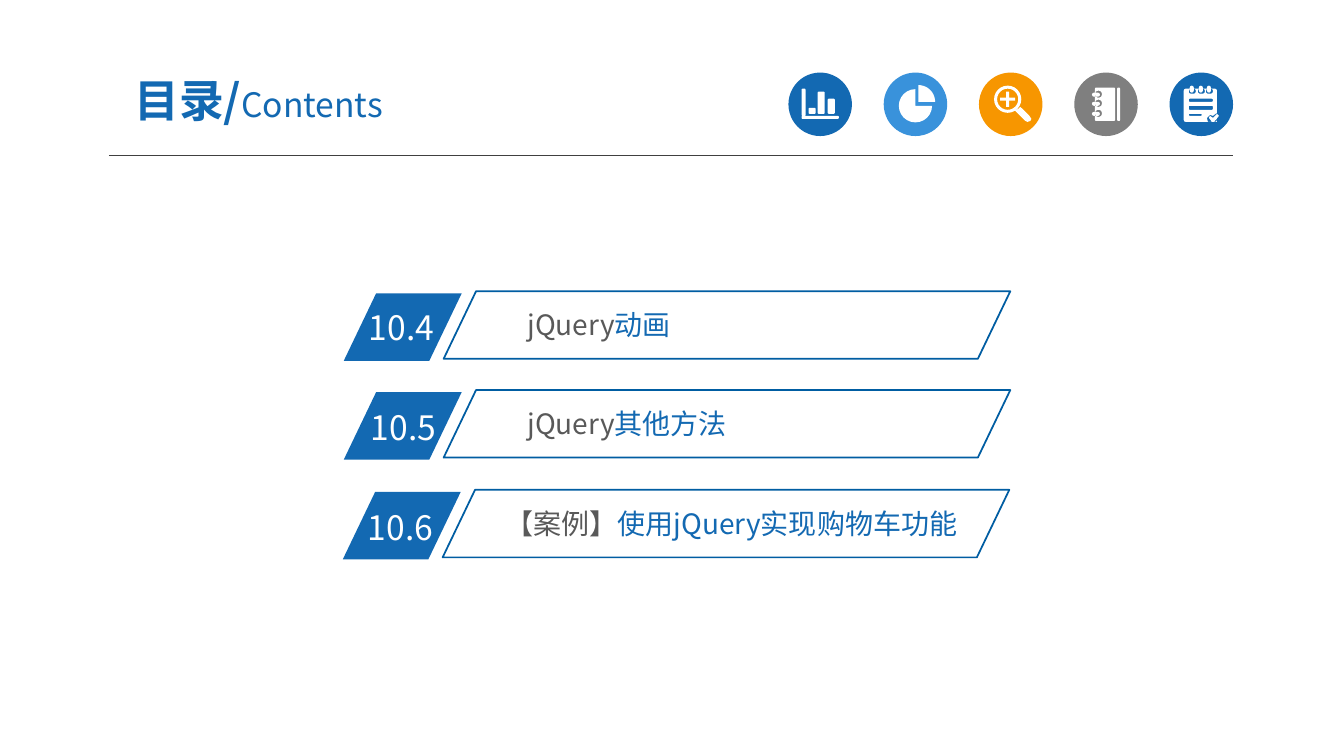
from math import cos, radians, sin

from lxml import etree
from pptx import Presentation
from pptx.dml.color import RGBColor
from pptx.enum import shapes, text
from pptx.oxml import ns
from pptx.util import Inches, Pt

BLUE = RGBColor(0x13, 0x69, 0xB2)
SKY = RGBColor(0x39, 0x92, 0xDB)
ORANGE = RGBColor(0xF7, 0x96, 0x00)
GRAY = RGBColor(0x7F, 0x7F, 0x7F)
DARK = RGBColor(0x59, 0x59, 0x59)
EDGE = RGBColor(0x00, 0x5D, 0xA2)
RULE = RGBColor(0x40, 0x40, 0x40)
WHITE = RGBColor(0xFF, 0xFF, 0xFF)
FONT = "Noto Sans CJK SC"
SLANT = shapes.MSO_SHAPE.PARALLELOGRAM

deck = Presentation()
deck.slide_width, deck.slide_height = Inches(13.33), Inches(7.5)
slide = deck.slides.add_slide(deck.slide_layouts[5])


def write(box, runs, align=text.PP_ALIGN.LEFT, inset=(0.1, 0.05)):
    """Fill a box with one paragraph of (words, size, colour, bold) runs."""
    frame = box.text_frame
    frame.word_wrap = True
    frame.auto_size = text.MSO_AUTO_SIZE.NONE
    frame.margin_left = frame.margin_right = Inches(inset[0])
    frame.margin_top = frame.margin_bottom = Inches(inset[1])
    para = frame.paragraphs[0]
    para.alignment = align
    for words, size, color, bold in runs:
        run = para.add_run()
        run.text = words
        font = run.font
        font.size, font.bold, font.name = Pt(size), bold, FONT
        font.color.rgb = color
        east = etree.SubElement(run._r.get_or_add_rPr(), ns.qn("a:ea"))
        east.set("typeface", FONT)


def paint(shape, fill=None, edge=None):
    shape.shadow.inherit = False
    if fill is None:
        shape.fill.background()
    else:
        shape.fill.solid()
        shape.fill.fore_color.rgb = fill
    if edge is None:
        shape.line.fill.background()
    else:
        shape.line.color.rgb = edge
        shape.line.width = Pt(1.25)


# Heading
title = slide.shapes.title
title.left, title.top = Inches(0.92), Inches(0.63)
title.width, title.height = Inches(3.29), Inches(0.72)
title.text_frame.vertical_anchor = text.MSO_ANCHOR.MIDDLE
write(title, [("目录/", 32, BLUE, True), ("Contents", 24, BLUE, False)],
      align=text.PP_ALIGN.CENTER, inset=(0.13, 0.07))

rule = slide.shapes.add_connector(shapes.MSO_CONNECTOR.STRAIGHT,
                                  Inches(1.08), Inches(1.54), Inches(12.23), Inches(1.54))
rule.line.color.rgb = RULE
rule.line.width = Pt(0.75)
etree.SubElement(rule._element.spPr, ns.qn("a:effectLst"))

# Icon outlines: a tuple is a rounded box (left, top, width, height, radius),
# a list is a polygon; an outline inside another one cuts a hole.
bars = [(7.95, 0.88, 0.04, 0.27, 0.01), (7.95, 1.15, 0.37, 0.03, 0.01)]
for x, top in [(8.02, 1.07), (8.11, 0.91), (8.21, 0.98)]:
    bars.append((x, top, 0.07, 1.13 - top, 0.01))

pie = []
for x, y, start, sweep in [(9.08, 1.05, 0, 270), (9.11, 1.01, 270, 90)]:
    turns = [radians(start + sweep * i / 18) for i in range(19)]
    pie.append([(x, y)] + [(x + 0.165 * cos(t), y + 0.165 * sin(t)) for t in turns])

lens = [
    (9.86, 0.85, 0.27, 0.27, 0.135),
    (9.89, 0.88, 0.21, 0.21, 0.105),
    [(9.98, 0.91), (10.01, 0.91), (10.01, 0.97), (10.07, 0.97), (10.07, 1.0), (10.01, 1.0),
     (10.01, 1.06), (9.98, 1.06), (9.98, 1.0), (9.92, 1.0), (9.92, 0.97), (9.98, 0.97)],
    [(10.07, 1.1), (10.1, 1.08), (10.12, 1.06), (10.21, 1.15), (10.23, 1.18),
     (10.22, 1.2), (10.19, 1.21), (10.17, 1.2)],
]

book = [(10.86, 0.87, 0.2, 0.33, 0.01), (11.08, 0.87, 0.03, 0.33, 0.01)]
for y in (0.92, 1.01, 1.11):
    book += [(10.86, y - 0.02, 0.07, 0.07, 0.03), (10.83, y, 0.08, 0.04, 0.02)]

pad = [(11.74, 0.88, 0.33, 0.33, 0.02)]
for x in (11.8, 11.89, 11.97):
    pad += [(x - 0.01, 0.88, 0.07, 0.05, 0.02), (x, 0.85, 0.04, 0.07, 0.02)]
for y, w, h in [(0.98, 0.24, 0.03), (1.05, 0.24, 0.04), (1.13, 0.13, 0.02)]:
    pad.append((11.79, y, w, h, 0.01))
pad += [
    [(11.98, 1.21), (11.97, 1.17), (12.0, 1.14), (12.03, 1.15), (12.07, 1.12), (12.07, 1.21)],
    [(12.0, 1.15), (12.03, 1.17), (12.07, 1.13), (12.09, 1.15), (12.04, 1.21),
     (12.02, 1.21), (11.99, 1.17)],
]

icons = [(BLUE, bars), (SKY, pie), (ORANGE, lens), (GRAY, book), (BLUE, pad)]
for i, (color, parts) in enumerate(icons):
    disc = slide.shapes.add_shape(shapes.MSO_SHAPE.OVAL, Inches(7.82 + 0.945 * i), Inches(0.72),
                                  Inches(0.63), Inches(0.63))
    paint(disc, color)
    pen = None
    for part in parts:
        if isinstance(part, tuple):
            x, y, w, h, r = part
            steps = 6 if r > 0.1 else 2
            hubs = [(x + w - r, y + h - r), (x + r, y + h - r), (x + r, y + r), (x + w - r, y + r)]
            part = []
            for k, (cx, cy) in enumerate(hubs):
                turns = [radians(90 * (k + n / steps)) for n in range(steps + 1)]
                part += [(cx + r * cos(t), cy + r * sin(t)) for t in turns]
        dots = [(Inches(x), Inches(y)) for x, y in part]
        if pen is None:
            pen = slide.shapes.build_freeform(*dots[0], scale=1.0)
        else:
            pen.move_to(*dots[0])
        pen.add_line_segments(dots[1:])
    paint(pen.convert_to_shape(), WHITE)

# Chapters: tag left and top, number left and top, label left and width
rows = [
    (3.41, 2.91, 3.56, 3.0, 5.15, 4.12, "10.4", "jQuery", "动画"),
    (3.41, 3.89, 3.58, 3.99, 5.15, 4.12, "10.5", "jQuery", "其他方法"),
    (3.4, 4.88, 3.55, 4.98, 4.93, 4.88, "10.6", "【案例】", "使用jQuery实现购物车功能"),
]
for x, y, numx, numy, labx, labw, num, lead, rest in rows:
    for left, top, wide, fill, edge in [(x, y, 1.17, BLUE, None),
                                        (x + 0.99, y - 0.02, 5.62, None, EDGE)]:
        frame = slide.shapes.add_shape(SLANT, Inches(left), Inches(top), Inches(wide), Inches(0.67))
        frame.adjustments[0] = 0.48
        paint(frame, fill, edge)
    tag = slide.shapes.add_textbox(Inches(numx), Inches(numy), Inches(1.12), Inches(0.5))
    write(tag, [(num, 24, WHITE, False)])
    label = slide.shapes.add_textbox(Inches(labx), Inches(y + 0.1), Inches(labw), Inches(0.41))
    write(label, [(lead, 20, DARK, False), (rest, 20, BLUE, False)], inset=(0.08, 0.04))

deck.save("out.pptx")
